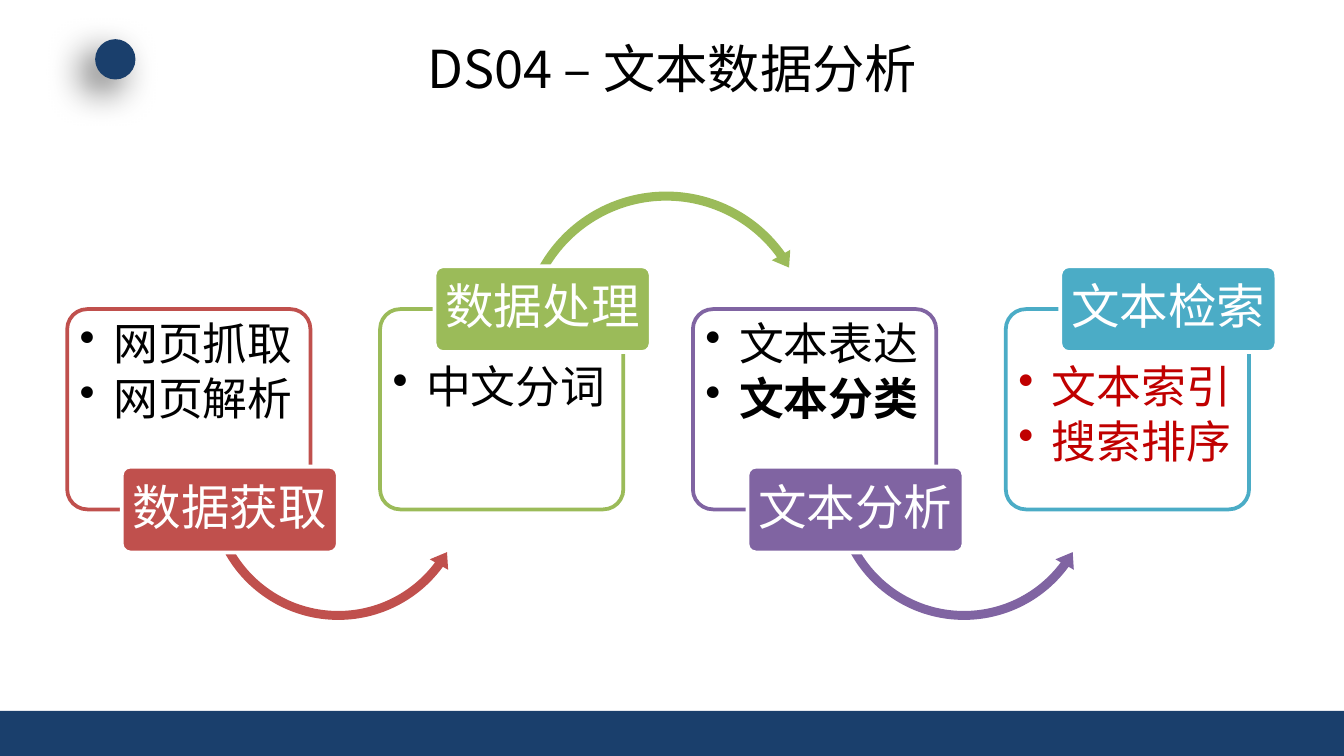
"""Build the DS04 text data analysis process slide."""
from lxml import etree
from pptx import Presentation
from pptx.dml.color import RGBColor
from pptx.enum.shapes import MSO_SHAPE
from pptx.enum.text import MSO_ANCHOR, PP_ALIGN
from pptx.oxml.ns import qn
from pptx.util import Pt

RECT, OVAL, ROUND = MSO_SHAPE.RECTANGLE, MSO_SHAPE.OVAL, MSO_SHAPE.ROUNDED_RECTANGLE
ARC, LEFT_ARC = MSO_SHAPE.CIRCULAR_ARROW, MSO_SHAPE.LEFT_CIRCULAR_ARROW
TOP, MIDDLE = MSO_ANCHOR.TOP, MSO_ANCHOR.MIDDLE
LEFT, CENTER = PP_ALIGN.LEFT, PP_ALIGN.CENTER

COLORS = {
    "navy": "1A3F6C", "black": "000000", "white": "FFFFFF", "crimson": "C00000",
    "red": "C0504D", "green": "9BBB59", "purple": "8064A2", "teal": "4BACC6",
}
STAGES = [
    ("数据获取", "red", "black", [("网页抓取", False), ("网页解析", False)]),
    ("数据处理", "green", "black", [("中文分词", False)]),
    ("文本分析", "purple", "black", [("文本表达", False), ("文本分类", True)]),
    ("文本检索", "teal", "crimson", [("文本索引", False), ("搜索排序", False)]),
]
FIRST_LEFT, STEP = 36, 167.6
LOW_ARC = dict(kind=LEFT_ARC, dx=72.5, top=190, size=145.4,
               adjustments=[3.3, 407.6, 2183.1, 9024.5, 3.9])
HIGH_ARC = dict(kind=ARC, dx=72, top=99.4, size=162.7,
                adjustments=[3, 362.9, 19461.6, 12575.5, 3.5])


def rgb(name):
    """Return the named colour."""
    return RGBColor.from_string(COLORS[name])


def apply(target, values):
    """Set each attribute of target from a dict."""
    for name, value in values.items():
        setattr(target, name, value)


def add_shape(slide, kind, box, fill, line=None, adjustments=()):
    """Add a flat preset shape with adjustments in percent."""
    sp = slide.shapes.add_shape(kind, *map(Pt, box))
    sp.shadow.inherit = False
    sp.fill.solid()
    sp.fill.fore_color.rgb = rgb(fill)
    if line:
        sp.line.color.rgb = rgb(line)
        sp.line.width = Pt(2)
    else:
        sp.line.fill.background()
    for i, value in enumerate(adjustments):
        sp.adjustments[i] = value / 100
    return sp


def set_alpha(color, percent):
    """Give a colour element an opacity."""
    etree.SubElement(color, qn("a:alpha"), val=str(percent * 1000))


def add_shadow(sp):
    """Cast a soft shadow to the lower left."""
    effects = sp.element.spPr.find(qn("a:effectLst"))
    shadow = etree.SubElement(effects, qn("a:outerShdw"), blurRad=str(Pt(20)),
                              dist=str(Pt(10)), dir=str(135 * 60000))
    set_alpha(etree.SubElement(shadow, qn("a:srgbClr"), val=COLORS["black"]), 60)


def format_frame(sp, anchor, side, top, bottom):
    """Set anchor and insets, and return the text frame."""
    tf = sp.text_frame
    apply(tf, dict(word_wrap=True, vertical_anchor=anchor, margin_left=Pt(side),
                   margin_right=Pt(side), margin_top=Pt(top), margin_bottom=Pt(bottom)))
    return tf


def write_paragraph(p, text, size, color, align, after, bullet=False, bold=False):
    """Fill a paragraph, with space after in percent."""
    apply(p, dict(alignment=align, line_spacing=0.9))
    pPr = p._p.get_or_add_pPr()
    spacing = etree.SubElement(pPr, qn("a:spcAft"))
    etree.SubElement(spacing, qn("a:spcPct"), val=str(after * 1000))
    if bullet:
        p.level = 1
        pPr.set("marL", str(Pt(18)))
        pPr.set("indent", str(Pt(-18)))
        etree.SubElement(pPr, qn("a:buChar"), char="•")
    r = p.add_run()
    r.text = text
    apply(r.font, dict(name="Calibri", size=Pt(size), bold=bold))
    r.font.color.rgb = rgb(color)


def add_card(slide, left, color, text_color, items, inset):
    """Add an outlined card with its bullets."""
    sp = add_shape(slide, ROUND, (left, 165.6, 130.3, 107.3), "white", color, [10])
    set_alpha(sp.element.spPr.find(qn("a:solidFill"))[0], 90)
    tf = format_frame(sp, TOP, 3.6, inset, 3.6)
    for i, (text, bold) in enumerate(items):
        p = tf.add_paragraph() if i else tf.paragraphs[0]
        write_paragraph(p, text, 24, text_color, LEFT, 15, True, bold)


def add_arc(slide, left, color, kind, dx, top, size, adjustments):
    """Add a curved arrow towards the next stage."""
    add_shape(slide, kind, (left + dx, top, size, size), color, adjustments=adjustments)


def add_label(slide, left, top, color, text):
    """Add the filled name of a stage."""
    sp = add_shape(slide, ROUND, (left + 29.2, top, 115.8, 46), color, "white", [10])
    tf = format_frame(sp, MIDDLE, 3.3, 2.5, 2.5)
    write_paragraph(tf.paragraphs[0], text, 26, "white", CENTER, 35)


def add_title(slide, text):
    """Place and format the title."""
    title = slide.shapes.title
    apply(title, dict(left=Pt(36), top=Pt(16.6), width=Pt(648), height=Pt(39.6)))
    tf = title.text_frame
    tf.vertical_anchor = MIDDLE
    p = tf.paragraphs[0]
    p.alignment = CENTER
    r = p.add_run()
    r.text = text
    apply(r.font, dict(name="Noto Sans CJK SC", size=Pt(28)))
    r.font.color.rgb = rgb("black")


def main():
    """Build and save the slide."""
    prs = Presentation()
    apply(prs, dict(slide_width=Pt(720), slide_height=Pt(405)))
    slide = prs.slides.add_slide(prs.slide_layouts[5])
    add_shape(slide, RECT, (0, 380.8, 720, 24.2), "navy")
    add_shadow(add_shape(slide, OVAL, (51, 21, 21.6, 21.6), "navy"))
    add_title(slide, "DS04 – 文本数据分析")
    for i, (name, color, text_color, items) in enumerate(STAGES):
        left = FIRST_LEFT + i * STEP
        high = i % 2 == 1
        add_card(slide, left, color, text_color, items, 26.6 if high else 3.6)
        if i < len(STAGES) - 1:
            add_arc(slide, left, color, **(HIGH_ARC if high else LOW_ARC))
        add_label(slide, left, 142.6 if high else 250, color, name)
    prs.save("out.pptx")


if __name__ == "__main__":
    main()
